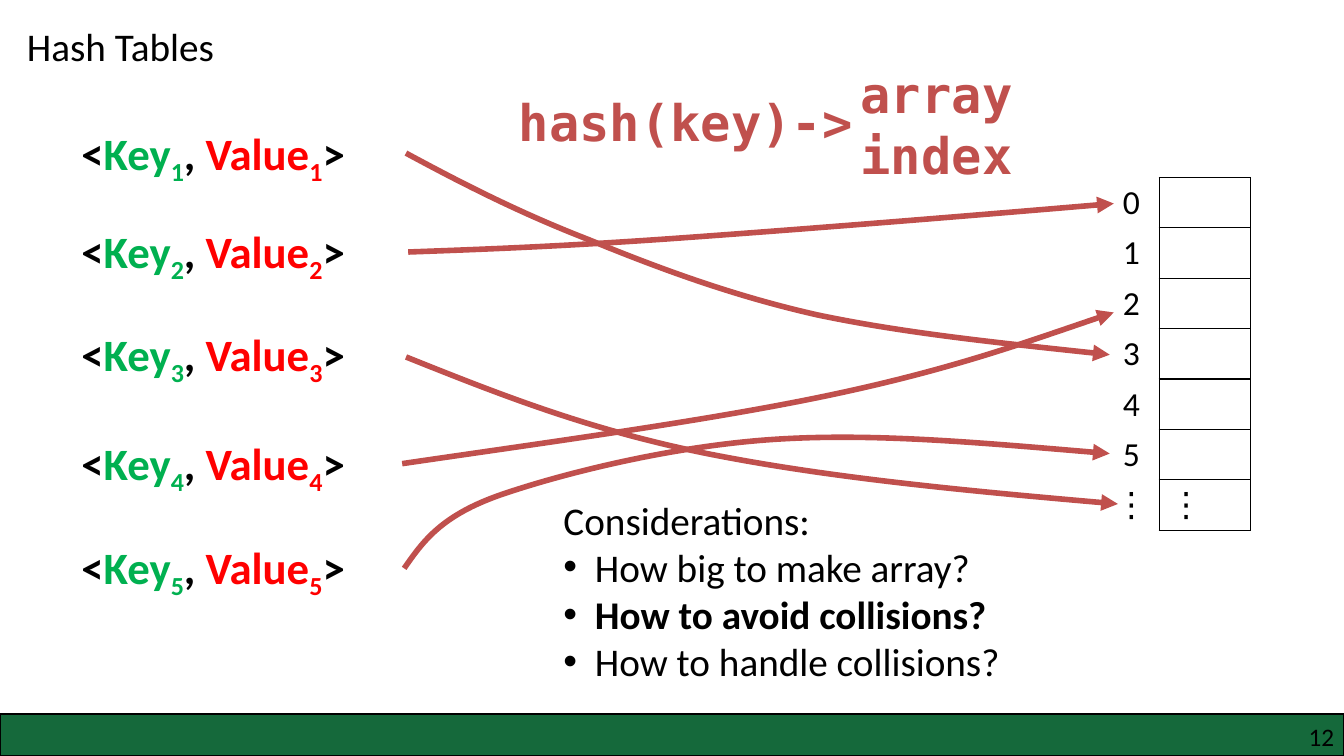
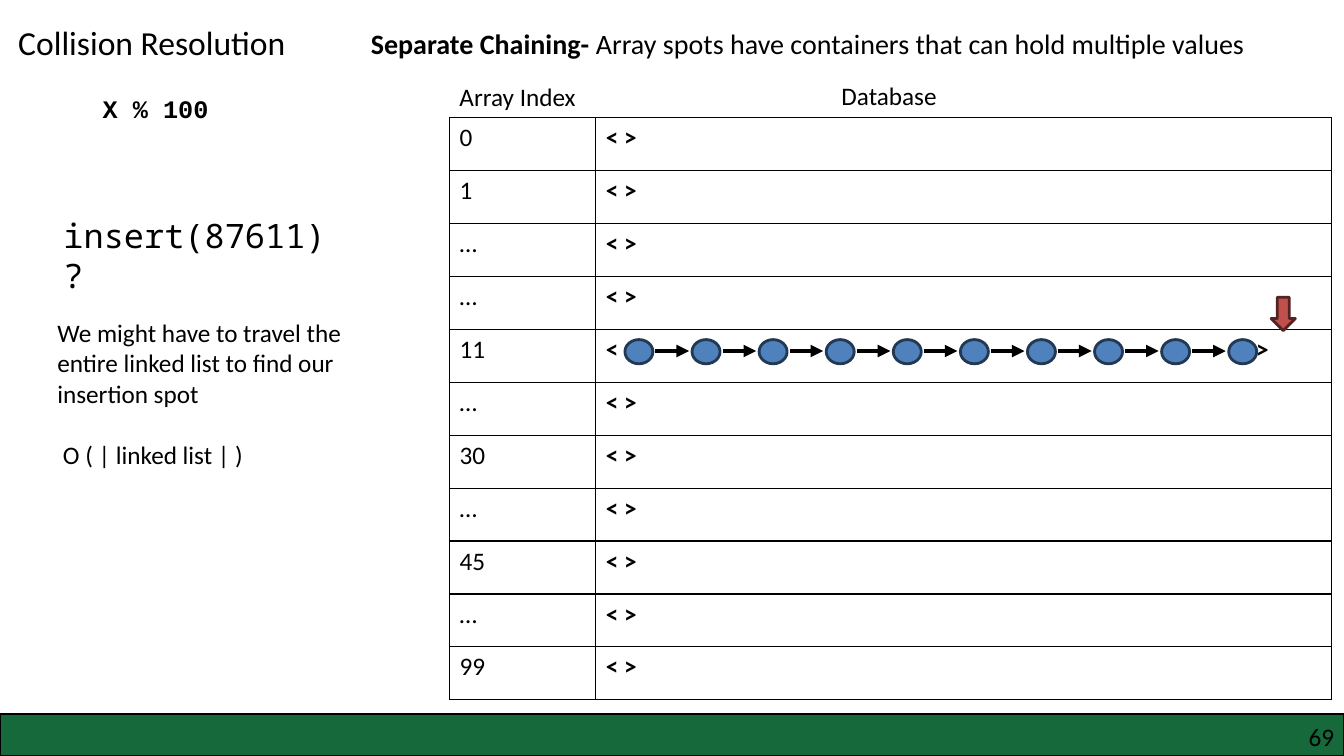
from dataclasses import dataclass

from lxml import etree
from pptx import Presentation
from pptx.dml.color import RGBColor
from pptx.enum import shapes, text
from pptx.oxml import ns
from pptx.util import Pt


@dataclass(frozen=True)
class Theme:
    black: str = "000000"
    white: str = "FFFFFF"
    band: str = "15693B"
    key: str = "00B050"
    value: str = "FF0000"
    accent: str = "C0504D"
    accent_edge: str = "542322"
    node: str = "4F81BD"
    node_edge: str = "233953"
    sans: str = "Calibri"
    code: str = "DejaVu Sans Mono"
    call: str = "Noto Sans Mono"
    formula: str = "Courier New"
    small: int = 18
    lead: int = 20
    medium: int = 24
    large: int = 28
    pair: int = 32
    hero: int = 36


THEME = Theme()
WIDTH, HEIGHT = 960, 540

PAIR_TOPS = [86.4, 156.2, 229.7, 307.4, 381.6]
INDEXES = ["0", "1", "2", "3", "4", "5", "⋮"]
SLOTS = [""] * 6 + ["⋮"]
CONSIDERATIONS = [
    "Considerations:",
    "How big to make array?",
    "How to avoid collisions?",
    "How to handle collisions?",
]
EMPHASISED = 2
HASH_CURVES = [
    [(290, 109.4), (330, 131), (371, 152), (420, 171), (469, 191),
     (522, 211), (584, 225), (646, 238), (719, 245.5), (792.7, 253.4)],
    [(291.6, 180), (347, 178), (402, 176), (486, 170),
     (570, 164), (683, 155), (795.6, 145.4)],
    [(290, 255), (355, 281), (420, 307), (505, 324),
     (590, 341), (694, 351), (798.5, 360)],
    [(287.3, 331.2), (398, 315), (509, 300), (594, 282),
     (679, 264), (737, 243), (795.6, 223.2)],
    [(288.7, 406), (302, 387), (315, 368), (359, 353), (403, 338),
     (479, 319), (551, 314), (623, 309), (708, 317), (792.7, 324)],
]

EMPTY = "< >"
BUCKETS = [(index, "<\t>" if index == "11" else EMPTY)
           for index in ["0", "1", "…", "…", "11", "…", "30", "…", "45", "…", "99"]]
COST = [
    "We might have to travel the entire linked list to find our insertion spot",
    "O ( | linked list | )",
]
NODE_COUNT, NODE_PITCH = 10, 47.92
NODE_LEFT, NODE_TOP, NODE_WIDTH, NODE_HEIGHT = 446.4, 242.6, 20, 17.3


def points(*lengths):
    return [Pt(length) for length in lengths]


def colour(code):
    return RGBColor.from_string(code)


def style(span, size, font=THEME.sans, code=THEME.black, bold=False):
    span.font.name, span.font.size, span.font.bold = font, Pt(size), bold
    span.font.color.rgb = colour(code)


def style_all(frame, size, **look):
    for para in frame.paragraphs:
        for span in para.runs:
            style(span, size, **look)


def add_text(page, area, words, size, **look):
    box = page.shapes.add_textbox(*points(*area))
    box.text_frame.word_wrap = True
    box.text_frame.text = words
    style_all(box.text_frame, size, **look)
    return box


def add_runs(page, area, parts, size):
    frame = add_text(page, area, "", size).text_frame
    for words, look in parts:
        span = frame.paragraphs[0].add_run()
        span.text = words
        style(span, size, **look)
    return frame.paragraphs[0].runs


def fill_placeholder(holder, area, words, size):
    holder.left, holder.top, holder.width, holder.height = points(*area)
    frame = holder.text_frame
    frame.text = words
    frame.word_wrap = True
    frame.auto_size = text.MSO_AUTO_SIZE.NONE
    frame.vertical_anchor = text.MSO_ANCHOR.TOP
    for para in frame.paragraphs:
        para.alignment = text.PP_ALIGN.LEFT
        para.space_before = Pt(0)
    style_all(frame, size)
    return frame


def set_bullet(para, mark=None, margin=0, indent=0):
    props = para._p.get_or_add_pPr()
    props.set("marL", str(Pt(margin)))
    props.set("indent", str(Pt(indent)))
    if mark:
        etree.SubElement(props, ns.qn("a:buChar"), char=mark)
    else:
        etree.SubElement(props, ns.qn("a:buNone"))


def add_figure(page, kind, area, fill, edge, weight):
    figure = page.shapes.add_shape(kind, *points(*area))
    figure.shadow.inherit = False
    figure.fill.solid()
    figure.fill.fore_color.rgb = colour(fill)
    figure.line.color.rgb = colour(edge)
    figure.line.width = Pt(weight)
    return figure


def add_arrowhead(line, code, weight):
    line.line.color.rgb = colour(code)
    line.line.width = Pt(weight)
    stroke = line.line._get_or_add_ln()
    etree.SubElement(stroke, ns.qn("a:tailEnd"), type="triangle")


def add_curve(page, anchors):
    start, *rest = [points(*anchor) for anchor in anchors]
    builder = page.shapes.build_freeform(*start)
    builder.add_line_segments(rest, close=False)
    curve = builder.convert_to_shape()
    outline = curve._element.find(".//" + ns.qn("a:path"))
    steps = outline.findall(ns.qn("a:lnTo"))
    for first in range(0, len(steps), 3):
        bend = etree.SubElement(outline, ns.qn("a:cubicBezTo"))
        for step in steps[first:first + 3]:
            bend.append(step[0])
            outline.remove(step)
    curve.fill.background()
    curve.shadow.inherit = False
    add_arrowhead(curve, THEME.accent, 4)


def add_border(cell):
    props = cell._tc.get_or_add_tcPr()
    for place, side in enumerate(["lnL", "lnR", "lnT", "lnB"]):
        edge = etree.Element(ns.qn("a:" + side), w=str(Pt(1)))
        paint = etree.SubElement(edge, ns.qn("a:solidFill"))
        etree.SubElement(paint, ns.qn("a:srgbClr"), val=THEME.black)
        props.insert(place, edge)


def add_grid(page, left, top, widths, row_height, rows, size, fill=None, border=True):
    frame = page.shapes.add_table(len(rows), len(widths),
                                  *points(left, top, sum(widths), row_height * len(rows)))
    table = frame.table
    table.first_row = table.horz_banding = False
    for column, width in zip(table.columns, widths):
        column.width = Pt(width)
    for row, words in zip(table.rows, rows):
        row.height = Pt(row_height)
        for place, (cell, word) in enumerate(zip(row.cells, words)):
            cell.text = word
            style_all(cell.text_frame, size, bold=place > 0)
            if fill:
                cell.fill.solid()
                cell.fill.fore_color.rgb = colour(fill)
            else:
                cell.fill.background()
            if border:
                add_border(cell)
    return table


def add_page(deck, title, title_area, title_size, number):
    page = deck.slides.add_slide(deck.slide_layouts[1])
    add_figure(page, shapes.MSO_SHAPE.RECTANGLE, (0, 510, WIDTH, 30),
               THEME.band, THEME.black, 1)
    frame = add_text(page, (732, 515, 221, 21.6), number, THEME.small).text_frame
    frame.margin_left = frame.margin_right = frame.margin_top = frame.margin_bottom = 0
    frame.paragraphs[0].alignment = text.PP_ALIGN.RIGHT
    fill_placeholder(page.shapes.title, title_area, title, title_size)
    return page


def build_hash_tables(deck):
    page = add_page(deck, "Hash Tables", (12, 12.2, 200, 41), THEME.large, "12")
    for number, top in enumerate(PAIR_TOPS, 1):
        key = {"code": THEME.key, "bold": True}
        value = {"code": THEME.value, "bold": True}
        plain = {"bold": True}
        parts = [("<", plain), ("Key", key), (str(number), key), (",", plain),
                 (" Value", value), (str(number), value), (">", plain)]
        spans = add_runs(page, (51, top, 281, 46), parts, THEME.pair)
        for span in (spans[2], spans[5]):
            span._r.get_or_add_rPr().set("baseline", "-25000")

    indexes = add_grid(page, 784.8, 126.7, [46.8], 36, [[index] for index in INDEXES],
                       THEME.medium, border=False)
    for cell in indexes.iter_cells():
        cell.text_frame.paragraphs[0].alignment = text.PP_ALIGN.CENTER
    add_grid(page, 828, 126.7, [65.5], 36, [[slot] for slot in SLOTS], THEME.medium)

    for words, area in [("hash(key)->", (363.6, 61.2, 272, 51)),
                        ("array\nindex", (607.7, 41.8, 130, 94))]:
        add_text(page, area, words, THEME.hero, font=THEME.code,
                 code=THEME.accent, bold=True)
    for anchors in HASH_CURVES:
        add_curve(page, anchors)

    frame = fill_placeholder(page.placeholders[1], (395.3, 350.6, 492, 143),
                             "\n".join(CONSIDERATIONS), THEME.large)
    for place, para in enumerate(frame.paragraphs):
        if place:
            set_bullet(para, "•", 22.5, -22.5)
        else:
            set_bullet(para)
        para.runs[0].font.bold = place == EMPHASISED


def build_collision_resolution(deck):
    page = add_page(deck, "Collision Resolution", (5.8, 12.2, 240, 36), THEME.medium, "69")
    add_runs(page, (257.8, 15.1, 690, 32), [
        ("Separate Chaining- ", {"bold": True}),
        ("Array spots have containers that can hold multiple values", {}),
    ], THEME.lead)

    table = add_grid(page, 321.1, 84.2, [104.4, 525.6], 37.8, BUCKETS,
                     THEME.small, THEME.white)
    for cell in table.iter_cells():
        if "\t" in cell.text:
            props = cell.text_frame.paragraphs[0]._p.get_or_add_pPr()
            stops = etree.SubElement(props, ns.qn("a:tabLst"))
            etree.SubElement(stops, ns.qn("a:tab"), pos=str(Pt(464.5)), algn="l")

    add_text(page, (321.1, 54.7, 110, 29), "Array Index", THEME.small)
    add_text(page, (594, 53.6, 100, 29), "Database", THEME.small)
    add_text(page, (66.2, 63.4, 110, 29), "X % 100", THEME.small,
             font=THEME.formula, bold=True)
    add_text(page, (38.2, 149.8, 215, 36), "insert(87611) ?", THEME.medium, font=THEME.call)

    for place in range(NODE_COUNT):
        left = NODE_LEFT + place * NODE_PITCH
        add_figure(page, shapes.MSO_SHAPE.OVAL, (left, NODE_TOP, NODE_WIDTH, NODE_HEIGHT),
                   THEME.node, THEME.node_edge, 2)
        if place < NODE_COUNT - 1:
            begin, level = left + NODE_WIDTH + 1.8, NODE_TOP + NODE_HEIGHT / 2 - 0.5
            link = page.shapes.add_connector(shapes.MSO_CONNECTOR.STRAIGHT,
                                             *points(begin, level, begin + 24, level))
            add_arrowhead(link, THEME.black, 3)
            etree.SubElement(link._element.spPr, ns.qn("a:effectLst"))
    add_figure(page, shapes.MSO_SHAPE.DOWN_ARROW, (908, 212.4, 17.3, 23.8),
               THEME.accent, THEME.accent_edge, 2)

    frame = fill_placeholder(page.placeholders[1], (33.8, 223.2, 238, 117),
                             "\n".join(COST), THEME.small)
    finding, order = frame.paragraphs
    set_bullet(finding)
    set_bullet(order, margin=4)
    order.space_before = Pt(22)


def main():
    deck = Presentation()
    deck.slide_width, deck.slide_height = points(WIDTH, HEIGHT)
    build_hash_tables(deck)
    build_collision_resolution(deck)
    deck.save("out.pptx")


if __name__ == "__main__":
    main()
